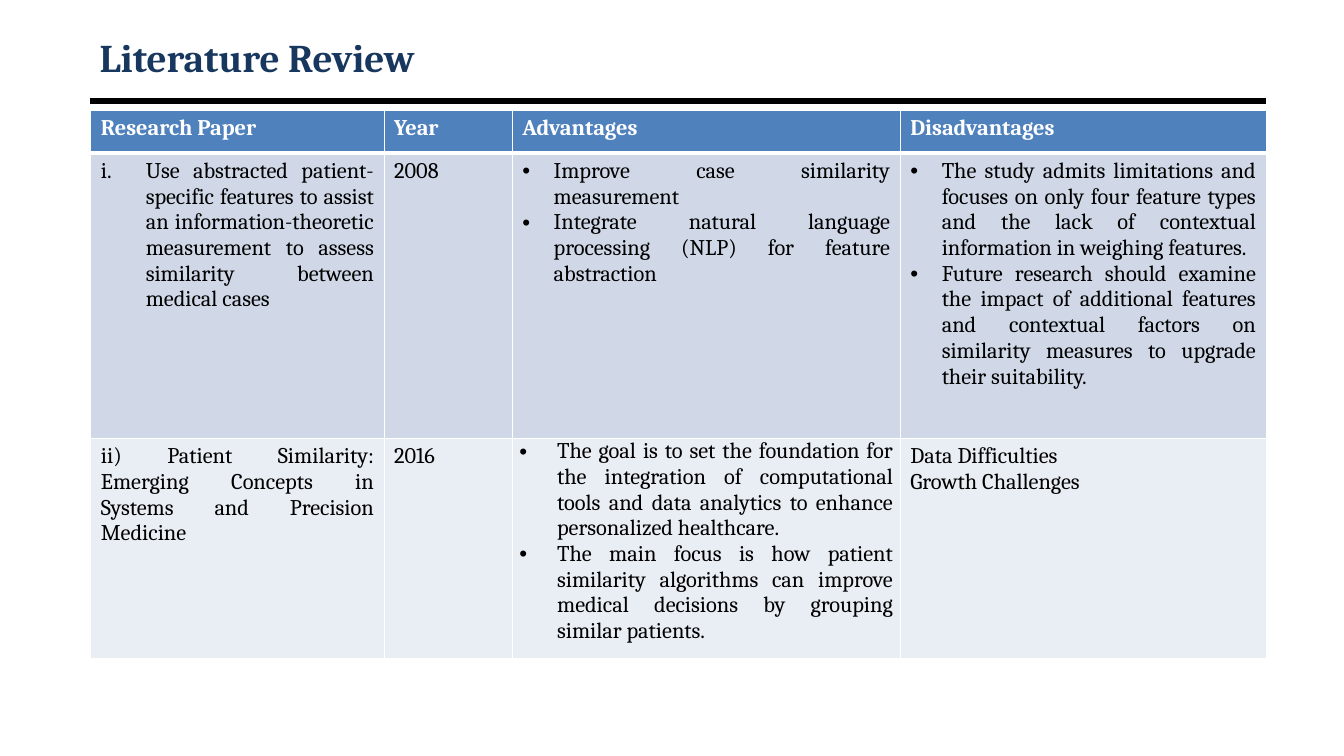
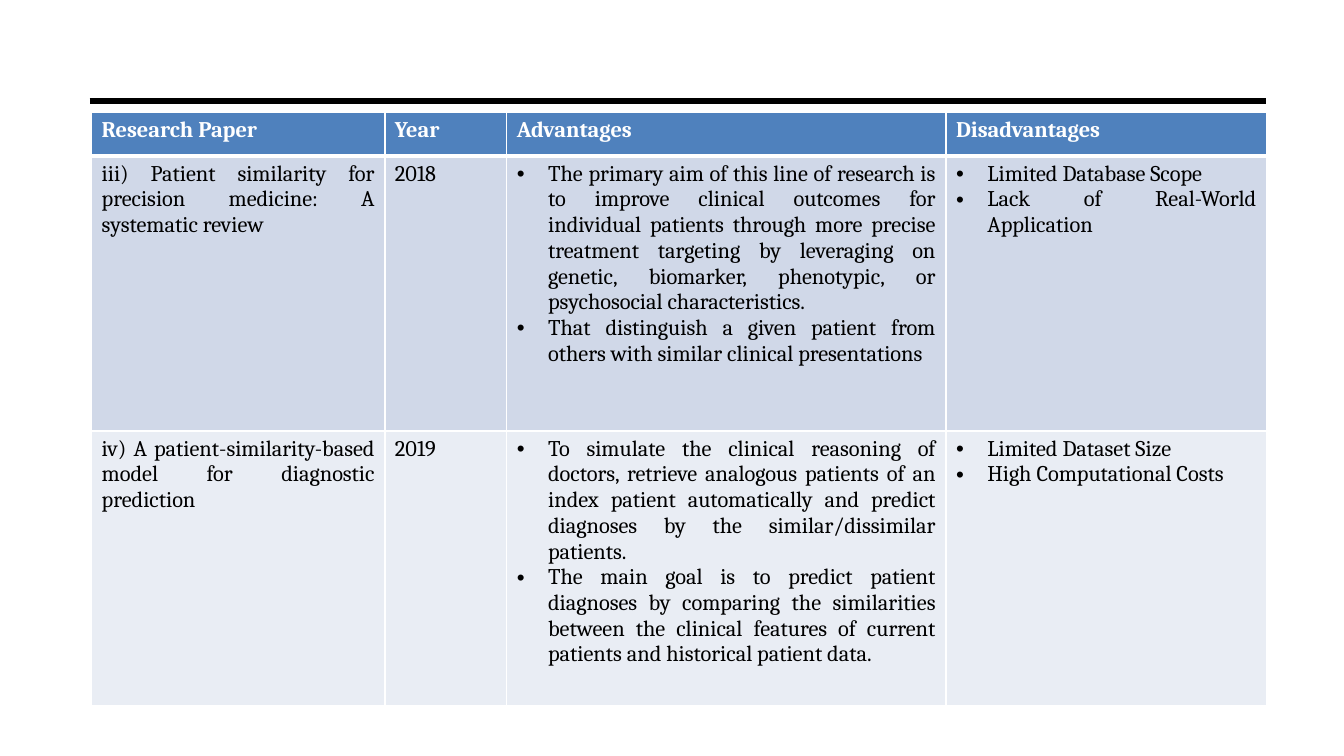
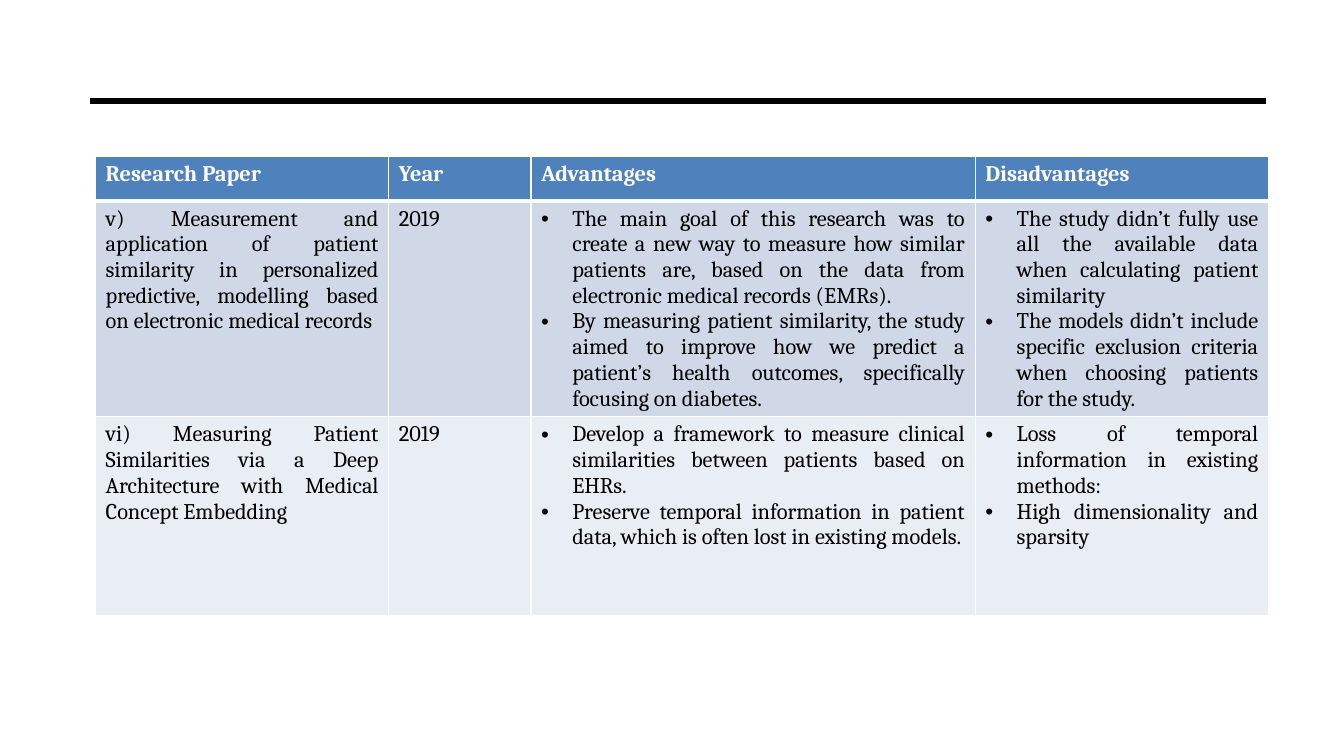
from dataclasses import dataclass

from lxml.etree import SubElement
from pptx import Presentation
from pptx.dml.color import RGBColor
from pptx.enum.shapes import MSO_CONNECTOR
from pptx.enum.text import MSO_ANCHOR, PP_ALIGN
from pptx.oxml.ns import qn
from pptx.util import Cm, Pt


@dataclass(frozen=True)
class Theme:
    font: str = "Cambria"
    bullet_font: str = "Arial"
    title_size: int = 28
    table_size: int = 16
    title: str = "17375E"
    rule: str = "000000"
    text: str = "000000"
    header_text: str = "FFFFFF"
    header_fill: str = "4F81BD"
    row_fills: tuple = ("D0D8E8", "E9EDF4")
    border: str = "FFFFFF"
    thin: float = 1
    thick: float = 3
    rule_width: float = 4.5


@dataclass(frozen=True)
class Points:
    """A list inside a cell; lengths are in centimetres."""
    items: tuple
    indent: float = 0.79
    numbering: str = ""
    margins: tuple = ()  # horizontal, vertical


THEME = Theme()
SLIDE_SIZE = (33.87, 19.05)
BODY_LEFT, BODY_RIGHT, RULE_TOP = 2.26, 31.9, 2.54
TITLE_TOP, TITLE_HEIGHT = 0.76, 1.35

HEADER = ("Research Paper", "Year", "Advantages", "Disadvantages")

REVIEW_PAGES = [
    {
        "title": "Literature Review",
        "position": (2.29, 2.79),
        "columns": (7.39, 3.23, 9.78, 9.22),
        "rows": (1.07, 7.19, 5.54),
        "papers": [
            (
                Points(("Use abstracted patient-specific features to assist an "
                        "information-theoretic measurement to assess similarity "
                        "between medical cases",),
                       indent=1.13, numbering="romanLcPeriod"),
                "2008",
                Points(("Improve case similarity measurement",
                        "Integrate natural language processing (NLP) for feature "
                        "abstraction")),
                Points(("The study admits limitations and focuses on only four "
                        "feature types and the lack of contextual information in "
                        "weighing features.",
                        "Future research should examine the impact of additional "
                        "features and contextual factors on similarity measures to "
                        "upgrade their suitability.")),
            ),
            (
                "ii) Patient Similarity: Emerging Concepts in Systems and "
                "Precision Medicine",
                "2016",
                Points(("The goal is to set the foundation for the integration of "
                        "computational tools and data analytics to enhance "
                        "personalized healthcare.",
                        "The main focus is how patient similarity algorithms can "
                        "improve medical decisions by grouping similar patients."),
                       indent=0.95, margins=(0.18, 0)),
                "Data Difficulties\nGrowth Challenges",
            ),
        ],
    },
    {
        "position": (2.31, 2.84),
        "columns": (7.39, 3.07, 11.07, 8.08),
        "rows": (1.09, 6.93, 6.93),
        "papers": [
            (
                "iii) Patient similarity for precision medicine: A systematic review",
                "2018",
                Points(("The primary aim of this line of research is to improve "
                        "clinical outcomes for individual patients through more "
                        "precise treatment targeting by leveraging on genetic, "
                        "biomarker, phenotypic, or psychosocial characteristics.",
                        "That distinguish a given patient from others with similar "
                        "clinical presentations")),
                Points(("Limited Database Scope", "Lack of Real-World Application")),
            ),
            (
                "iv) A patient-similarity-based model for diagnostic prediction",
                "2019",
                Points(("To simulate the clinical reasoning of doctors, retrieve "
                        "analogous patients of an index patient automatically and "
                        "predict diagnoses by the similar/dissimilar patients.",
                        "The main goal is to predict patient diagnoses by comparing "
                        "the similarities between the clinical features of current "
                        "patients and historical patient data.")),
                Points(("Limited Dataset Size", "High Computational Costs")),
            ),
        ],
    },
    {
        "position": (2.41, 3.94),
        "columns": (7.39, 3.58, 11.2, 7.39),
        "rows": (1.12, 5.44, 5),
        "papers": [
            (
                "v) Measurement and application of patient similarity in "
                "personalized predictive, modelling based on electronic medical "
                "records",
                "2019",
                Points(("The main goal of this research was to create a new way to "
                        "measure how similar patients are, based on the data from "
                        "electronic medical records (EMRs).",
                        "By measuring patient similarity, the study aimed to improve "
                        "how we predict a patient’s health outcomes, specifically "
                        "focusing on diabetes.")),
                Points(("The study didn’t fully use all the available data when "
                        "calculating patient similarity",
                        "The models didn’t include specific exclusion criteria when "
                        "choosing patients for the study.")),
            ),
            (
                "vi) Measuring Patient Similarities via a Deep Architecture with "
                "Medical Concept Embedding",
                "2019",
                Points(("Develop a framework to measure clinical similarities "
                        "between patients based on EHRs.",
                        "Preserve temporal information in patient data, which is "
                        "often lost in existing models.")),
                Points(("Loss of temporal information in existing methods:",
                        "High dimensionality and sparsity")),
            ),
        ],
    },
]


def style_runs(para, size, color, bold):
    for span in para.runs:
        span.font.name = THEME.font
        span.font.size = Pt(size)
        span.font.bold = bold
        span.font.color.rgb = RGBColor.from_string(color)


def add_rule(page):
    rule = page.shapes.add_connector(
        MSO_CONNECTOR.STRAIGHT,
        Cm(BODY_LEFT), Cm(RULE_TOP), Cm(BODY_RIGHT), Cm(RULE_TOP))
    rule.line.width = Pt(THEME.rule_width)
    rule.line.color.rgb = RGBColor.from_string(THEME.rule)
    SubElement(rule._element.spPr, qn("a:effectLst"))


def add_title(page, title):
    box = page.shapes.add_textbox(
        Cm(BODY_LEFT), Cm(TITLE_TOP),
        Cm(BODY_RIGHT - BODY_LEFT), Cm(TITLE_HEIGHT))
    frame = box.text_frame
    frame.word_wrap = True
    frame.vertical_anchor = MSO_ANCHOR.MIDDLE
    frame.text = title
    style_runs(frame.paragraphs[0], THEME.title_size, THEME.title, True)


def set_marker(para, points):
    """Give a paragraph its hanging indent and its bullet or number."""
    properties = para._p.get_or_add_pPr()
    properties.set("marL", str(Cm(points.indent)))
    properties.set("indent", str(-Cm(points.indent)))
    if points.numbering:
        SubElement(properties, qn("a:buAutoNum"), type=points.numbering)
    else:
        SubElement(properties, qn("a:buFont"), typeface=THEME.bullet_font)
        SubElement(properties, qn("a:buChar"), char="•")


def set_borders(cell, top, bottom):
    properties = cell._tc.get_or_add_tcPr()
    widths = {"lnL": THEME.thin, "lnR": THEME.thin, "lnT": top, "lnB": bottom}
    for side, width in widths.items():
        line = SubElement(properties, qn(f"a:{side}"), w=str(Pt(width)))
        fill = SubElement(line, qn("a:solidFill"))
        SubElement(fill, qn("a:srgbClr"), val=THEME.border)


def fill_cell(cell, content, row):
    is_header = row == 0
    set_borders(cell,
                top=THEME.thick if row == 1 else THEME.thin,
                bottom=THEME.thick if is_header else THEME.thin)
    background = THEME.header_fill if is_header else THEME.row_fills[row - 1]
    cell.fill.solid()
    cell.fill.fore_color.rgb = RGBColor.from_string(background)

    points = content if isinstance(content, Points) else None
    cell.text_frame.text = "\n".join(points.items) if points else content
    if points and points.margins:
        horizontal, vertical = points.margins
        cell.margin_left = cell.margin_right = Cm(horizontal)
        cell.margin_top = cell.margin_bottom = Cm(vertical)
    for para in cell.text_frame.paragraphs:
        para.alignment = PP_ALIGN.JUSTIFY
        if points:
            set_marker(para, points)
        style_runs(para, THEME.table_size,
                   THEME.header_text if is_header else THEME.text, is_header)


def add_review_table(page, review):
    columns, rows = review["columns"], review["rows"]
    left, top = review["position"]
    table = page.shapes.add_table(
        len(rows), len(columns), Cm(left), Cm(top),
        Cm(sum(columns)), Cm(sum(rows))).table
    table.horz_banding = False
    for column, width in zip(table.columns, columns):
        column.width = Cm(width)
    for row, height in zip(table.rows, rows):
        row.height = Cm(height)
    for row_index, contents in enumerate([HEADER, *review["papers"]]):
        for column_index, content in enumerate(contents):
            fill_cell(table.cell(row_index, column_index), content, row_index)


def main():
    deck = Presentation()
    deck.slide_width, deck.slide_height = map(Cm, SLIDE_SIZE)
    for review in REVIEW_PAGES:
        page = deck.slides.add_slide(deck.slide_layouts[6])
        add_rule(page)
        if "title" in review:
            add_title(page, review["title"])
        add_review_table(page, review)
    deck.save("out.pptx")


if __name__ == "__main__":
    main()
